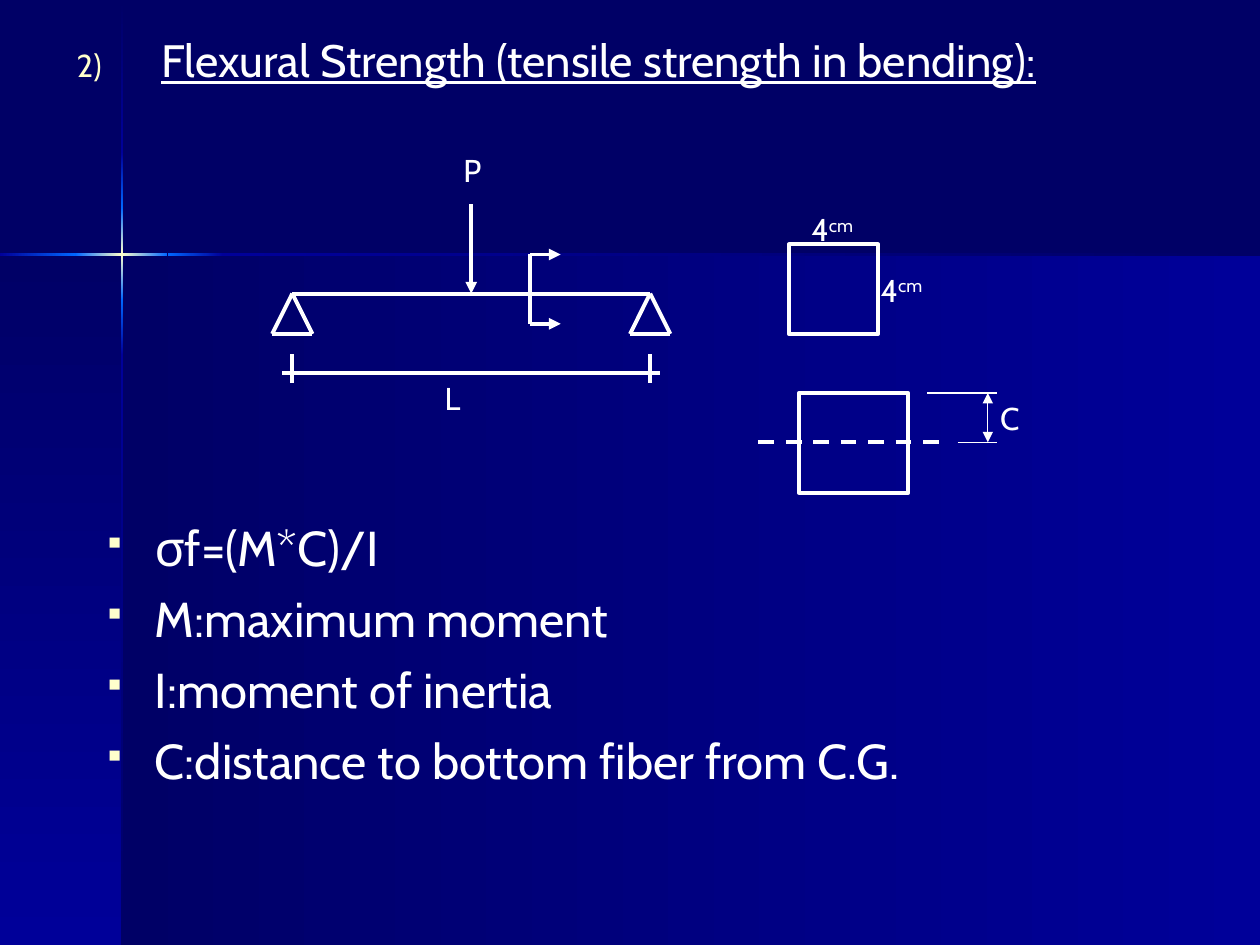
from itertools import pairwise

from lxml.etree import SubElement
from pptx import Presentation
from pptx.dml.color import RGBColor
from pptx.enum.dml import MSO_LINE
from pptx.enum.shapes import MSO_CONNECTOR, MSO_SHAPE
from pptx.oxml.ns import qn
from pptx.util import Inches, Pt

NAVY = RGBColor(0x00, 0x00, 0x66)
BLUE = RGBColor(0x00, 0x00, 0x99)
BRIGHT = RGBColor(0x00, 0x66, 0xFF)
CREAM = RGBColor(0xFF, 0xFF, 0xCC)
WHITE = RGBColor(0xFF, 0xFF, 0xFF)

FONT = "Cabin"
BULLET_FONT = "Wingdings"
SQUARE_BULLET = "§"  # a small filled square in the bullet font
THICK, THIN = 2.25, 0.75

PAGE_WIDTH, PAGE_HEIGHT = 10, 7.5
CROSS_X, CROSS_Y = 0.97, 2.02  # where the two glowing rays meet
RAY_WIDTH = 0.02

# Each ray changes colour at these distances from the page edge.
VERTICAL_RAY = [(0, NAVY), (1.21, BLUE), (1.65, BRIGHT),
                (2.38, BRIGHT), (2.82, BLUE), (PAGE_HEIGHT, NAVY)]
HORIZONTAL_RAY = [(0, BLUE), (0.6, BRIGHT),
                  (1.33, BRIGHT), (1.77, BLUE), (PAGE_WIDTH, NAVY)]

DEFINITIONS = [
    "σf=(M*C)/I",
    "M:maximum moment",
    "I:moment of inertia",
    "C:distance to bottom fiber from C.G.",
]


def add_rectangle(page, left, top, width, height):
    rectangle = page.shapes.add_shape(
        MSO_SHAPE.RECTANGLE, Inches(left), Inches(top), Inches(width), Inches(height))
    rectangle.shadow.inherit = False
    return rectangle


def add_gradient_panel(page, left, top, width, height, colors, vertical):
    """Add a borderless rectangle shaded evenly through the colours."""
    panel = add_rectangle(page, left, top, width, height)
    panel.line.fill.background()
    panel.fill.gradient()
    gradient = panel._element.spPr.find(qn("a:gradFill"))
    for child in list(gradient):
        gradient.remove(child)
    stops = SubElement(gradient, qn("a:gsLst"))
    for index, color in enumerate(colors):
        position = 100000 * index // (len(colors) - 1)
        stop = SubElement(stops, qn("a:gs"), pos=str(position))
        SubElement(stop, qn("a:srgbClr"), val=str(color))
    angle = "5400000" if vertical else "0"
    SubElement(gradient, qn("a:lin"), ang=angle, scaled="0")


def add_ray(page, ray, vertical):
    """Add one panel between each two colour changes; the bright part glows cream."""
    for (start, first), (end, last) in pairwise(ray):
        colors = [first, CREAM, last] if first == last else [first, last]
        length = end - start
        if vertical:
            bounds = (CROSS_X - RAY_WIDTH / 2, start, RAY_WIDTH, length)
        else:
            bounds = (start, CROSS_Y - RAY_WIDTH / 2, length, RAY_WIDTH)
        add_gradient_panel(page, *bounds, colors, vertical)


def add_backdrop(page):
    page.background.fill.solid()
    page.background.fill.fore_color.rgb = NAVY
    right_width, lower_height = PAGE_WIDTH - CROSS_X, PAGE_HEIGHT - CROSS_Y
    add_gradient_panel(page, CROSS_X, CROSS_Y, right_width, lower_height,
                       [NAVY, BLUE], vertical=False)
    add_gradient_panel(page, 0, CROSS_Y, CROSS_X, lower_height,
                       [NAVY, BLUE], vertical=True)
    add_ray(page, VERTICAL_RAY, vertical=True)
    add_ray(page, HORIZONTAL_RAY, vertical=False)


def add_line(page, start, end, width=THICK, arrows=()):
    """Add a white line; arrows names its arrowed ends (headEnd, tailEnd)."""
    (x1, y1), (x2, y2) = start, end
    line = page.shapes.add_connector(
        MSO_CONNECTOR.STRAIGHT, Inches(x1), Inches(y1), Inches(x2), Inches(y2))
    line.line.color.rgb = WHITE
    line.line.width = Pt(width)
    for arrow in arrows:
        SubElement(line.line._get_or_add_ln(), qn(f"a:{arrow}"), type="triangle")
    SubElement(line._element.spPr, qn("a:effectLst"))
    return line


def add_section(page, left, top, width, height):
    section = add_rectangle(page, left, top, width, height)
    section.fill.background()
    section.line.color.rgb = WHITE
    section.line.width = Pt(THICK)


def add_text_frame(page, left, top, width, height):
    box = page.shapes.add_textbox(
        Inches(left), Inches(top), Inches(width), Inches(height))
    box.text_frame.word_wrap = True
    return box.text_frame


def format_span(span, size):
    span.font.name = FONT
    span.font.size = Pt(size)
    span.font.color.rgb = WHITE


def add_label(page, left, top, width, text, unit=""):
    """Add a diagram label, with an optional superscript unit."""
    para = add_text_frame(page, left, top, width, 0.4).paragraphs[0]
    para.text = text
    if unit:
        unit_span = para.add_run()
        unit_span.text = unit
        unit_span._r.get_or_add_rPr().set("baseline", "30000")
    for span in para.runs:
        format_span(span, 18)


def add_marker(para, indent, font, tag, **attributes):
    """Give a paragraph a hanging cream bullet or number."""
    properties = para._p.get_or_add_pPr()
    properties.set("marL", str(Inches(indent)))
    properties.set("indent", str(-Inches(indent)))
    color = SubElement(properties, qn("a:buClr"))
    SubElement(color, qn("a:srgbClr"), val=str(CREAM))
    SubElement(properties, qn("a:buSzPct"), val="70000")
    SubElement(properties, qn("a:buFont"), typeface=font)
    SubElement(properties, qn(tag), **attributes)


def add_title(page):
    para = add_text_frame(page, 0.51, 0.21, 9.21, 0.63).paragraphs[0]
    para.text = "Flexural Strength (tensile strength in bending):"
    add_marker(para, 0.67, FONT, "a:buAutoNum", type="arabicParenR", startAt="2")
    format_span(para.runs[0], 25.9)
    para.runs[0].font.underline = True


def add_definitions(page):
    frame = add_text_frame(page, 0.75, 4.06, 8.9, 2.76)
    frame.text = "\n".join(DEFINITIONS)
    for index, para in enumerate(frame.paragraphs):
        if index > 0:
            para.space_before = Pt(7)
        add_marker(para, 0.38, BULLET_FONT, "a:buChar", char=SQUARE_BULLET)
        format_span(para.runs[0], 28)


def add_support(page, x, top):
    """Add a triangular support with its tip under the beam."""
    base = top + 0.32
    corners = [(x, top), (x - 0.16, base), (x + 0.16, base), (x, top)]
    for start, end in pairwise(corners):
        add_line(page, start, end)


def add_beam(page):
    left, right, beam_y, span_y = 2.32, 5.16, 2.33, 2.96
    add_line(page, (left, beam_y), (right, beam_y))
    for x in (left, right):
        add_support(page, x, beam_y)
        add_line(page, (x, 2.81), (x, 3.04))
    add_line(page, (left - 0.08, span_y), (right + 0.08, span_y))
    add_label(page, 3.43, span_y, 0.47, "L")

    middle = (left + right) / 2
    add_line(page, (middle, 1.62), (middle, beam_y), arrows=["tailEnd"])
    add_label(page, 3.58, 1.15, 0.55, "P")

    cut_x, cut_top, cut_bottom = 4.21, 2.02, 2.57
    add_line(page, (cut_x, cut_top), (cut_x, cut_bottom))
    for y in (cut_top, cut_bottom):
        add_line(page, (cut_x, y), (cut_x + 0.24, y), arrows=["tailEnd"])


def add_cross_sections(page):
    add_section(page, 6.26, 1.94, 0.71, 0.71)
    for left, top in [(6.34, 1.62), (6.89, 2.1)]:
        add_label(page, left, top, 0.71, "4", "cm")

    top, centroid, dimension_x = 3.12, 3.51, 7.84
    add_section(page, 6.34, top, 0.87, 0.79)
    neutral_axis = add_line(page, (6.02, centroid), (7.52, centroid))
    neutral_axis.line.dash_style = MSO_LINE.DASH
    for start_x, y in [(7.36, top), (7.6, centroid)]:
        add_line(page, (start_x, y), (dimension_x + 0.07, y), THIN)
    add_line(page, (dimension_x, top), (dimension_x, centroid), THIN,
             ["headEnd", "tailEnd"])
    add_label(page, dimension_x, top, 0.47, "C")


def main():
    deck = Presentation()
    deck.slide_width, deck.slide_height = Inches(PAGE_WIDTH), Inches(PAGE_HEIGHT)
    page = deck.slides.add_slide(deck.slide_layouts[6])
    add_backdrop(page)
    add_title(page)
    add_definitions(page)
    add_beam(page)
    add_cross_sections(page)
    deck.save("out.pptx")


if __name__ == "__main__":
    main()
